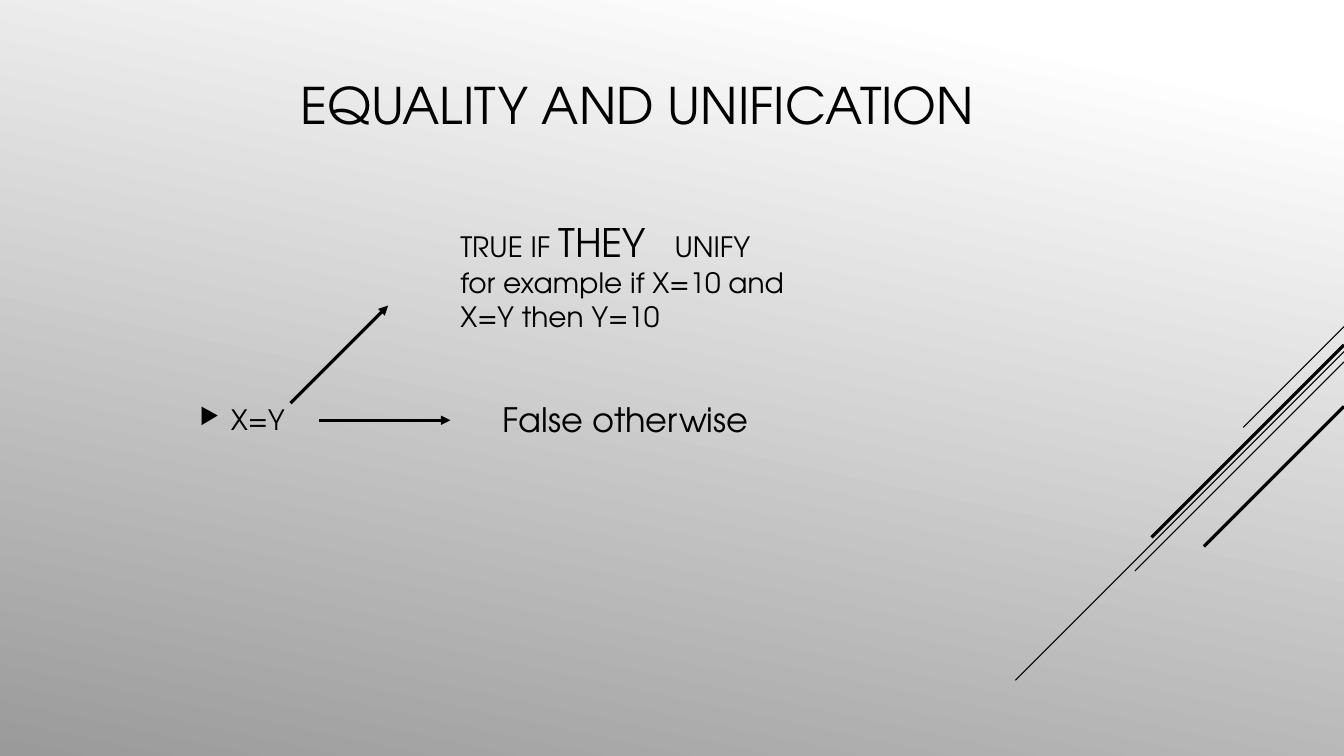
from lxml import etree
from pptx import Presentation
from pptx import util as u
from pptx.dml.color import RGBColor
from pptx.enum import shapes, text
from pptx.oxml.ns import qn

INK = {"black": "000000", "white": "FFFFFF", "grey": "9A9A9A"}


def tag(parent, name, **attrs):
    return etree.SubElement(parent, qn("a:" + name), attrs)


class Deck:
    font = "TeX Gyre Adventor"
    ink = RGBColor.from_string(INK["black"])

    def __init__(self, wide, high):
        self.prs = Presentation()
        self.prs.slide_width, self.prs.slide_height = u.Cm(wide), u.Cm(high)
        self.slide = self.prs.slides.add_slide(self.prs.slide_layouts[6])

    def shade(self, angle, *stops):
        fill = self.slide.background.fill
        fill.gradient()
        fill.gradient_angle = angle
        for stop, (pos, name) in zip(fill.gradient_stops, stops):
            stop.position = pos
            stop.color.rgb = RGBColor.from_string(INK[name])

    def line(self, x1, y1, x2, y2, width=2.25, arrow=False):
        line = self.slide.shapes.add_connector(
            shapes.MSO_CONNECTOR.STRAIGHT, *map(u.Cm, (x1, y1, x2, y2)))
        line.line.width = u.Pt(width)
        line.line.color.rgb = self.ink
        if arrow:
            tag(line.line._get_or_add_ln(), "tailEnd", type="triangle")
        tag(line._element.spPr, "effectLst")

    def text(self, box, *runs, middle=False, wrap=True, bullet=None, tab=None):
        """Write (words, size) runs in one paragraph; a None run breaks the line."""
        frame = self.slide.shapes.add_textbox(*map(u.Cm, box)).text_frame
        frame.word_wrap = wrap
        if middle:
            frame.vertical_anchor = text.MSO_ANCHOR.MIDDLE
        para = frame.paragraphs[0]
        for part in runs:
            if part is None:
                para.add_line_break()
                continue
            run = para.add_run()
            run.text, size = part
            run.font.size = u.Pt(size)
            run.font.name = self.font
            run.font.color.rgb = self.ink
        props = para._p.get_or_add_pPr()
        if bullet:
            dent = u.Cm(0.79)
            props.set("marL", str(dent))
            props.set("indent", str(-dent))
            tag(tag(props, "buClr"), "srgbClr", val=INK["black"])
            tag(props, "buSzPct", val="80000")
            tag(props, "buChar", char=bullet)
        if tab:
            tag(tag(props, "tabLst"), "tab", pos=str(u.Cm(tab)), algn="l")


def main():
    wide = 33.87
    deck = Deck(wide, 19.05)
    deck.shade(258, (0.1, "white"), (1, "grey"))

    # Diagonal stripes run down at 45 degrees from the right edge.
    for top, run, width in ((8.23, 2.54, 0.75), (8.86, 8.28, 0.75),
                            (9.12, 5.27, 0.75), (8.69, 4.85, 2.25),
                            (10.24, 3.53, 2.25)):
        deck.line(wide, top, wide - run, top + run, width)

    deck.text((7.32, 0.53, 23.7, 4.19), ("EQUALITY AND UNIFICATION", 36),
              middle=True)
    deck.text((4.78, 4.98, 25.2, 11.18), ("X=Y", 20), middle=True, bullet="▶")
    deck.line(7.32, 10.16, 9.78, 7.7, arrow=True)
    deck.line(8.05, 10.59, 11.35, 10.59, arrow=True)
    deck.text((11.35, 5.38, 9.86, 3.18), ("TRUE IF ", 20), ("THEY", 28),
              ("\tUNIFY", 20), None,
              ("for example if X=10 and X=Y then Y=10", 20), tab=5.4)
    deck.text((12.42, 9.93, 6.76, 1.27), ("False otherwise", 24), wrap=False)
    deck.prs.save("out.pptx")


if __name__ == "__main__":
    main()
